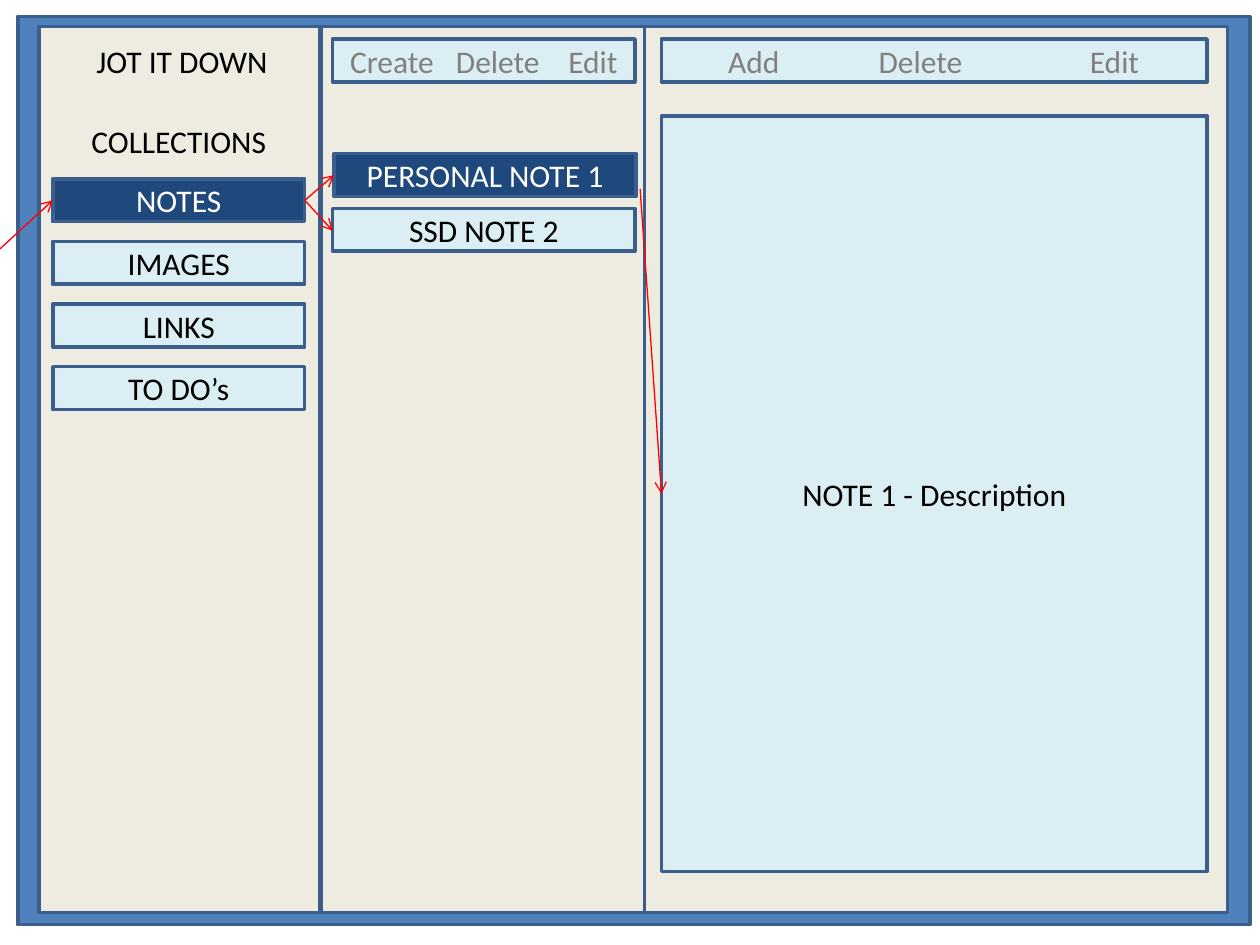
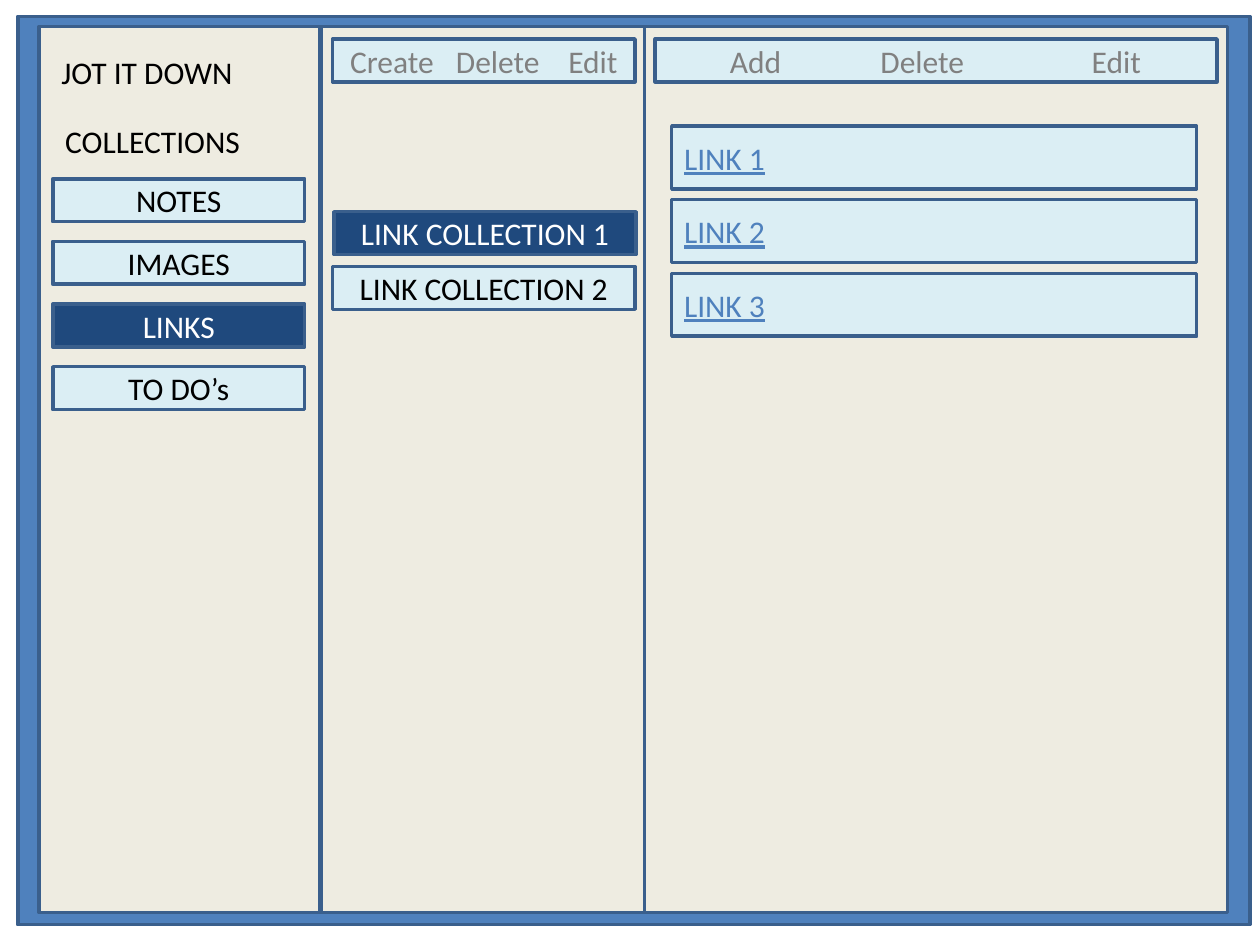
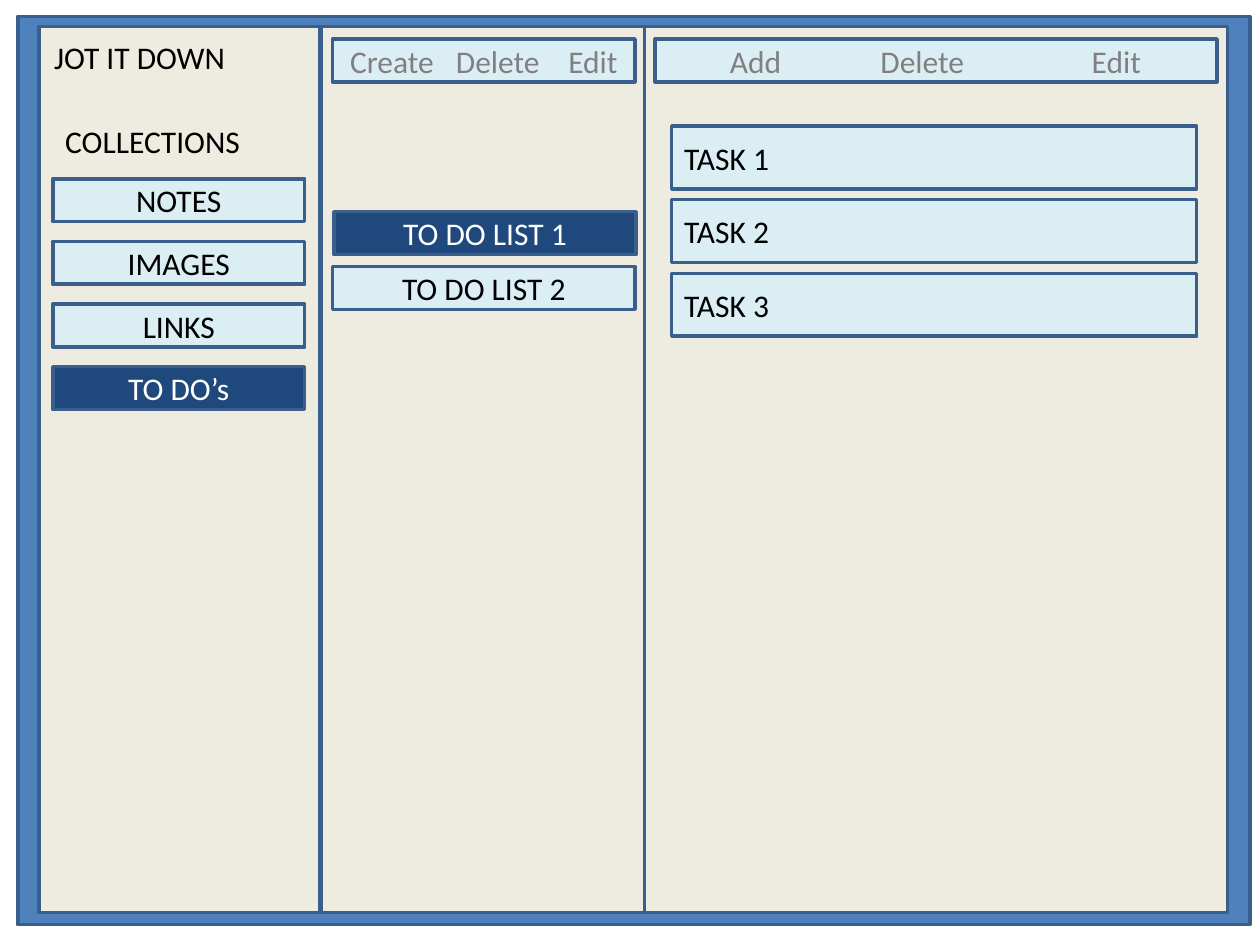
"""Build three wireframe screens of a note-keeping app."""
from dataclasses import dataclass

from lxml.etree import SubElement
from pptx import Presentation
from pptx.dml.color import RGBColor as RGB
from pptx.enum.dml import MSO_THEME_COLOR
from pptx.enum.shapes import MSO_CONNECTOR, MSO_SHAPE
from pptx.enum.text import MSO_ANCHOR, MSO_AUTO_SIZE, PP_ALIGN
from pptx.oxml.ns import qn
from pptx.util import Pt

APP_TITLE = "JOT IT DOWN"
MENU_TITLE = "COLLECTIONS"
MENU = ["NOTES", "IMAGES", "LINKS", "TO DO’s"]
LIST_ACTIONS = [("Create", -76.3), ("Delete", -15.8), ("Edit", 48.4)]
DETAIL_ACTIONS = [("Add", -117.7), ("Delete", -31.7), ("Edit", 89)]

SCREENS = [
    {
        "selected": "NOTES",
        "app_title": (28, 20.2, 152, 30.2),
        "menu_title": (30.2, 66.2, 144, 28.8),
        "title_align": PP_ALIGN.CENTER,
        "detail_bar": (378, 311.8),
        "entries": ["PERSONAL NOTE 1", "SSD NOTE 2"],
        "entries_top": 87.8,
        "description": "NOTE 1 - Description",
        "arrows": [
            ((0, 142.2), (30.2, 114.5)),
            ((174.2, 114.5), (190.1, 131.8)),
            ((174.2, 114.5), (190.8, 100.1)),
            ((365.8, 108), (378, 282.2)),
        ],
    },
    {
        "selected": "LINKS",
        "app_title": (28, 26.6, 160.6, 30.2),
        "menu_title": (30.2, 66.2, 138.2, 28.8),
        "title_align": PP_ALIGN.LEFT,
        "detail_bar": (374.4, 321.1),
        "entries": ["LINK COLLECTION 1", "LINK COLLECTION 2"],
        "entries_top": 121,
        "rows": ["LINK 1", "LINK 2", "LINK 3"],
        "rows_are_links": True,
    },
    {
        "selected": "TO DO’s",
        "app_title": (23.8, 18, 160.6, 30.2),
        "menu_title": (30.2, 66.2, 138.2, 28.8),
        "title_align": PP_ALIGN.LEFT,
        "detail_bar": (374.4, 321.1),
        "entries": ["TO DO LIST 1", "TO DO LIST 2"],
        "entries_top": 121,
        "rows": ["TASK 1", "TASK 2", "TASK 3"],
    },
]

FRAME = (10.2, 9.4, 704, 519)
PANELS = [(22.3, 160.6), (183.4, 185), (368.2, 333.4)]
PANEL_TOP, PANEL_HEIGHT = 15.2, 506.2
BAR_TOP, BUTTON_HEIGHT = 22.3, 24.5
MENU_LEFT, MENU_TOP, MENU_WIDTH, MENU_STEP = 30.2, 102.2, 144, 35.8
LIST_LEFT, LIST_WIDTH, LIST_STEP, SELECTED_SHIFT = 190.1, 172.8, 31.3, 0.7
ROW_LEFT, ROW_TOP, ROW_WIDTH, ROW_HEIGHT, ROW_STEP = 383.8, 72, 300, 36, 42.1
DESCRIPTION_TOP, DESCRIPTION_HEIGHT = 66.2, 432
INSET = 7.2


@dataclass(frozen=True)
class Theme:
    frame: RGB = RGB.from_string("4F81BD")
    panel: RGB = RGB.from_string("EEECE1")
    button: RGB = RGB.from_string("DBEEF4")
    selected: RGB = RGB.from_string("1F497D")
    outline: RGB = RGB.from_string("3A5F8C")
    text: RGB = RGB.from_string("000000")
    selected_text: RGB = RGB.from_string("FFFFFF")
    action: RGB = RGB.from_string("808080")
    link: RGB = RGB.from_string("4F81BD")
    arrow: RGB = RGB.from_string("FF0000")
    font: str = "Calibri"
    size: float = 18
    outline_width: float = 2
    arrow_width: float = 0.75


THEME = Theme()


def write(frame, text, color, align):
    frame.word_wrap = True
    paragraph = frame.paragraphs[0]
    paragraph.text = text
    paragraph.alignment = align
    font = paragraph.font
    font.name, font.size = THEME.font, Pt(THEME.size)
    font.color.rgb = color
    return paragraph


def add_box(slide, bounds, fill, text="", color=THEME.text, align=PP_ALIGN.CENTER):
    box = slide.shapes.add_shape(MSO_SHAPE.RECTANGLE, *map(Pt, bounds))
    box.shadow.inherit = False
    box.fill.solid()
    box.fill.fore_color.rgb = fill
    box.line.color.rgb = THEME.outline
    box.line.width = Pt(THEME.outline_width)
    if not text:
        return None
    box.text_frame.vertical_anchor = MSO_ANCHOR.MIDDLE
    return write(box.text_frame, text, color, align)


def add_button(slide, bounds, text, selected):
    fill, color = (
        (THEME.selected, THEME.selected_text) if selected else (THEME.button, THEME.text)
    )
    add_box(slide, bounds, fill, text, color)


def add_title(slide, bounds, text, align):
    title = slide.shapes.add_textbox(*map(Pt, bounds))
    write(title.text_frame, text, THEME.text, align)
    title.text_frame.auto_size = MSO_AUTO_SIZE.SHAPE_TO_FIT_TEXT


def add_action_bar(slide, left, width, actions):
    labels = "".join("\t" + label for label, _ in actions)
    bounds = (left, BAR_TOP, width, BUTTON_HEIGHT)
    paragraph = add_box(slide, bounds, THEME.button, labels, THEME.action, PP_ALIGN.LEFT)
    stops = SubElement(paragraph._p.get_or_add_pPr(), qn("a:tabLst"))
    paragraph._p.pPr.insert(0, stops)
    for _, from_center in actions:
        position = Pt(width / 2 - INSET + from_center)
        SubElement(stops, qn("a:tab"), pos=str(position), algn="l")


def add_arrow(slide, start, end):
    arrow = slide.shapes.add_connector(MSO_CONNECTOR.STRAIGHT, *map(Pt, start + end))
    arrow.line.color.rgb = THEME.arrow
    arrow.line.width = Pt(THEME.arrow_width)
    SubElement(arrow.line._get_or_add_ln(), qn("a:tailEnd"), type="arrow")
    SubElement(arrow._element.spPr, qn("a:effectLst"))


def add_screen(slide, screen):
    add_box(slide, FRAME, THEME.frame)
    for left, width in PANELS:
        add_box(slide, (left, PANEL_TOP, width, PANEL_HEIGHT), THEME.panel)

    add_title(slide, screen["app_title"], APP_TITLE, screen["title_align"])
    detail_left, detail_width = screen["detail_bar"]
    add_action_bar(slide, detail_left, detail_width, DETAIL_ACTIONS)
    add_action_bar(slide, LIST_LEFT, LIST_WIDTH, LIST_ACTIONS)

    for i, item in enumerate(MENU):
        bounds = (MENU_LEFT, MENU_TOP + i * MENU_STEP, MENU_WIDTH, BUTTON_HEIGHT)
        add_button(slide, bounds, item, item == screen["selected"])
    add_title(slide, screen["menu_title"], MENU_TITLE, screen["title_align"])

    for i, entry in enumerate(screen["entries"]):
        selected = i == 0
        left = LIST_LEFT + SELECTED_SHIFT * selected
        top = screen["entries_top"] + i * LIST_STEP
        add_button(slide, (left, top, LIST_WIDTH, BUTTON_HEIGHT), entry, selected)

    if "description" in screen:
        bounds = (detail_left, DESCRIPTION_TOP, detail_width, DESCRIPTION_HEIGHT)
        add_box(slide, bounds, THEME.button, screen["description"])

    is_link = screen.get("rows_are_links", False)
    for i, row in enumerate(screen.get("rows", [])):
        bounds = (ROW_LEFT, ROW_TOP + i * ROW_STEP, ROW_WIDTH, ROW_HEIGHT)
        color = THEME.link if is_link else THEME.text
        paragraph = add_box(slide, bounds, THEME.button, row, color, PP_ALIGN.LEFT)
        if is_link:
            paragraph.font.underline = True

    for start, end in screen.get("arrows", []):
        add_arrow(slide, start, end)


def main():
    deck = Presentation()
    deck.slide_width, deck.slide_height = Pt(720), Pt(540)
    blank = deck.slide_layouts[6]
    for screen in SCREENS:
        add_screen(deck.slides.add_slide(blank), screen)
    deck.save("out.pptx")


if __name__ == "__main__":
    main()
